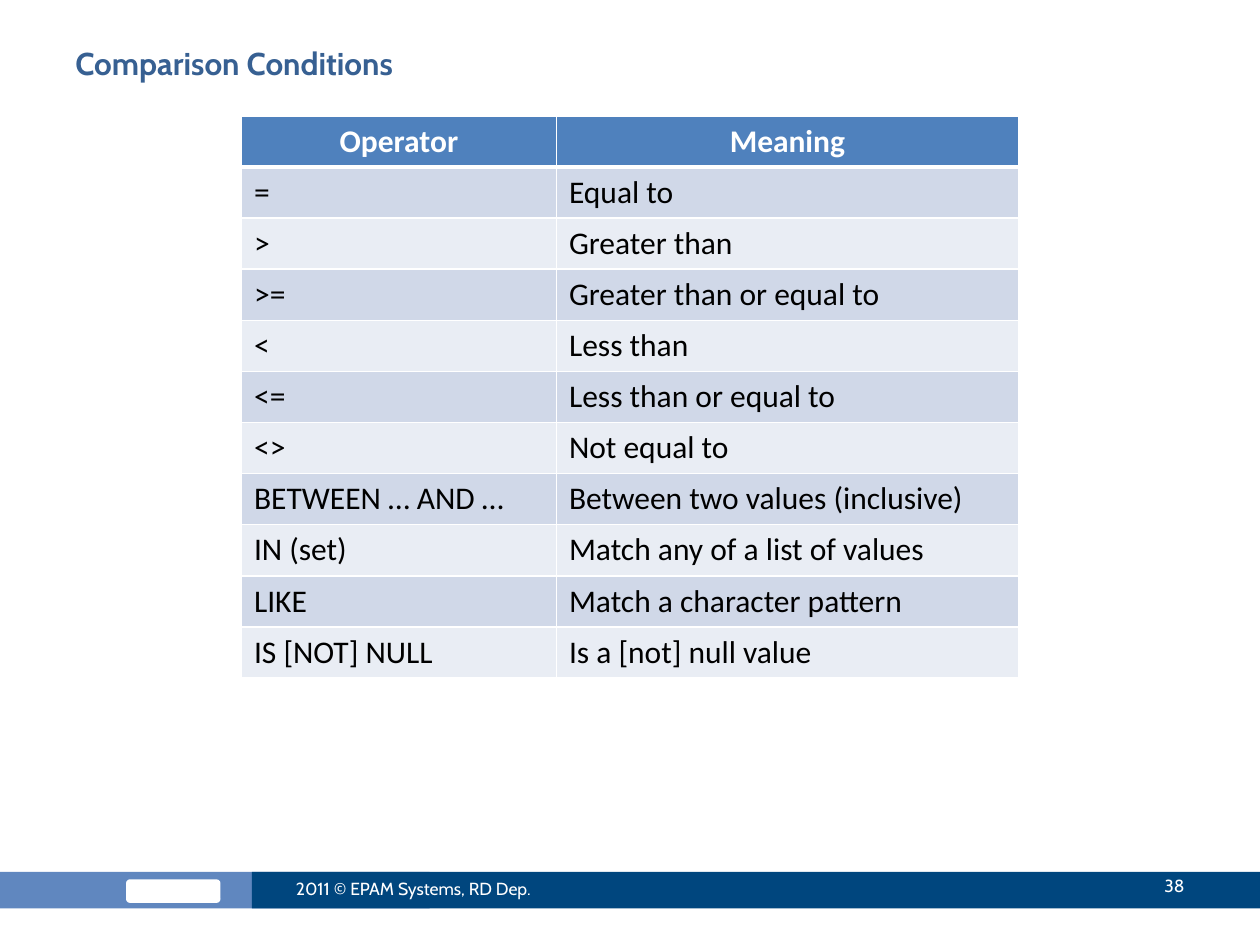
"""Build the slide listing SQL comparison conditions."""
from lxml import etree
from pptx import Presentation
from pptx.dml.color import RGBColor
from pptx.enum.shapes import MSO_SHAPE
from pptx.enum.text import MSO_ANCHOR, PP_ALIGN
from pptx.oxml.ns import qn
from pptx.util import Pt

RECT, ROUNDED = MSO_SHAPE.RECTANGLE, MSO_SHAPE.ROUNDED_RECTANGLE
TOP, MIDDLE = MSO_ANCHOR.TOP, MSO_ANCHOR.MIDDLE
LEFT, CENTER, RIGHT = PP_ALIGN.LEFT, PP_ALIGN.CENTER, PP_ALIGN.RIGHT

WHITE = RGBColor(0xFF, 0xFF, 0xFF)
BLACK = RGBColor(0x00, 0x00, 0x00)
TITLE_BLUE = RGBColor(0x37, 0x60, 0x92)
HEADER_BLUE = RGBColor(0x4F, 0x81, 0xBD)
BANDS = (RGBColor(0xE9, 0xED, 0xF4), RGBColor(0xD0, 0xD8, 0xE8))
LIGHT_BAR = RGBColor(0x60, 0x87, 0xBF)
DARK_BAR = RGBColor(0x00, 0x46, 0x7E)

ROWS = [
    ("Operator", "Meaning"),
    ("=", "Equal to"),
    (">", "Greater than"),
    (">=", "Greater than or equal to"),
    ("<", "Less than"),
    ("<=", "Less than or equal to"),
    ("<>", "Not equal to"),
    ("BETWEEN … AND …", "Between two values (inclusive)"),
    ("IN (set)", "Match any of a list of values"),
    ("LIKE", "Match a character pattern"),
    ("IS [NOT] NULL", "Is a [not] null value"),
]
COL_WIDTHS = (180, 264)
ROW_HEIGHT = 29.2
TABLE_LEFT, TABLE_TOP = 138, 66.24

FOOTER_SHAPES = [
    (RECT, 0, 498.24, 245.5, 20.88, LIGHT_BAR),
    (ROUNDED, 72, 502.5, 54, 13.5, WHITE),
    (RECT, 144, 498.24, 576, 20.88, DARK_BAR),
]
TEXTS = [
    ("Comparison Conditions", 36, 21.6, 648, 56, 18, TITLE_BLUE, True, LEFT, TOP),
    ("2011 © EPAM Systems, RD Dep.", 162, 493.2, 192, 28.8, 10, WHITE, False, LEFT, MIDDLE),
    ("38", 606, 491.76, 78, 28.8, 10, WHITE, False, RIGHT, MIDDLE),
]


def style(p, font, size, color, bold, align):
    p.alignment = align
    p.font.name = font
    p.font.size = Pt(size)
    p.font.bold = bold
    p.font.color.rgb = color


def add_bar(slide, kind, x, y, w, h, color):
    sp = slide.shapes.add_shape(kind, Pt(x), Pt(y), Pt(w), Pt(h))
    sp.shadow.inherit = False
    sp.fill.solid()
    sp.fill.fore_color.rgb = color
    sp.line.fill.background()


def add_text(slide, text, x, y, w, h, size, color, bold, align, anchor):
    tf = slide.shapes.add_textbox(Pt(x), Pt(y), Pt(w), Pt(h)).text_frame
    tf.word_wrap = True
    tf.vertical_anchor = anchor
    tf.text = text
    style(tf.paragraphs[0], "Cabin", size, color, bold, align)


def set_borders(cell, row):
    widths = {"L": 1, "R": 1, "T": 3 if row == 1 else 1, "B": 3 if row == 0 else 1}
    tcPr = cell._tc.get_or_add_tcPr()
    for i, (side, width) in enumerate(widths.items()):
        ln = etree.Element(qn(f"a:ln{side}"), w=str(Pt(width)))
        fill = etree.SubElement(ln, qn("a:solidFill"))
        etree.SubElement(fill, qn("a:srgbClr"), val=str(WHITE))
        tcPr.insert(i, ln)


def add_operator_table(slide):
    table = slide.shapes.add_table(
        len(ROWS), len(COL_WIDTHS), Pt(TABLE_LEFT), Pt(TABLE_TOP),
        Pt(sum(COL_WIDTHS)), Pt(ROW_HEIGHT * len(ROWS))).table
    for col, width in zip(table.columns, COL_WIDTHS):
        col.width = Pt(width)
    for i, texts in enumerate(ROWS):
        header = i == 0
        table.rows[i].height = Pt(ROW_HEIGHT)
        for j, text in enumerate(texts):
            cell = table.cell(i, j)
            cell.text = text
            style(cell.text_frame.paragraphs[0], "Calibri", 18,
                  WHITE if header else BLACK, header, CENTER if header else LEFT)
            cell.fill.solid()
            cell.fill.fore_color.rgb = HEADER_BLUE if header else BANDS[i % 2]
            set_borders(cell, i)


def main():
    prs = Presentation()
    prs.slide_width, prs.slide_height = Pt(720), Pt(540)
    slide = prs.slides.add_slide(prs.slide_layouts[6])
    for bar in FOOTER_SHAPES:
        add_bar(slide, *bar)
    add_operator_table(slide)
    for text in TEXTS:
        add_text(slide, *text)
    prs.save("out.pptx")


if __name__ == "__main__":
    main()
